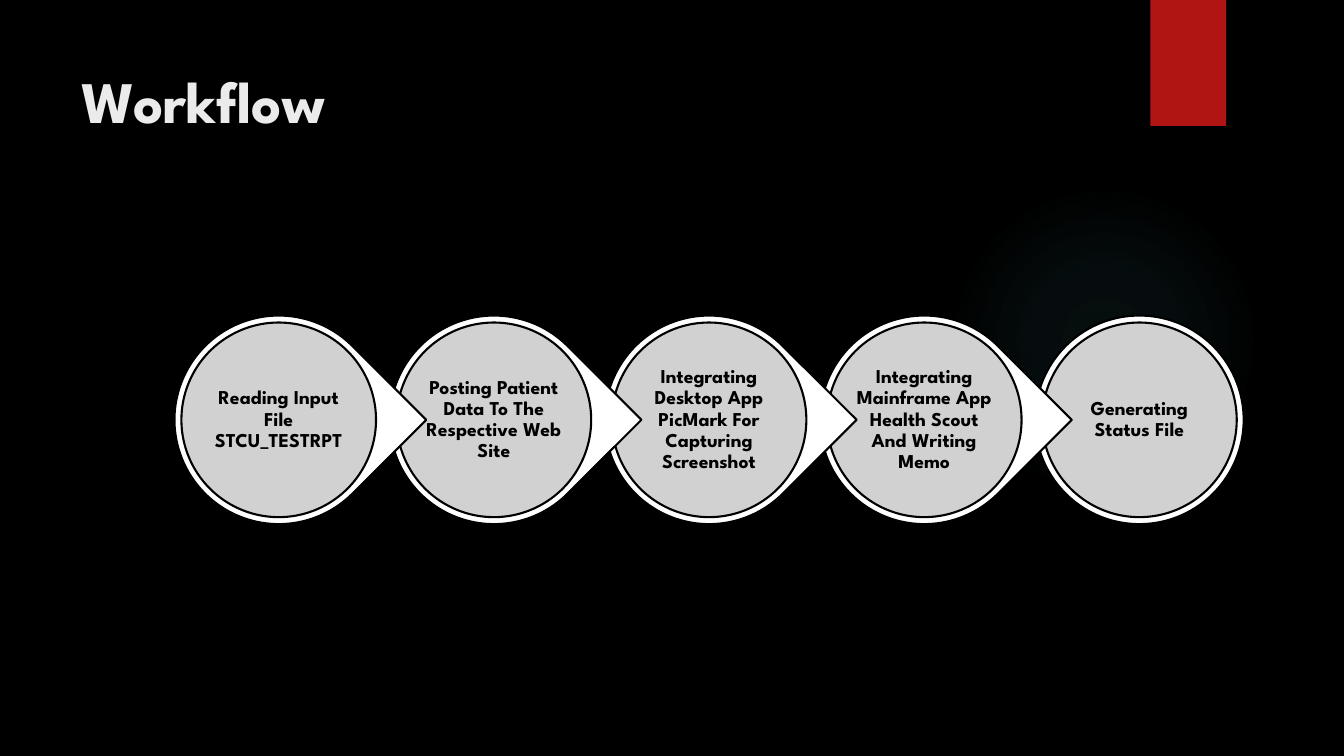
from lxml.etree import SubElement
from pptx import Presentation
from pptx.dml.color import RGBColor
from pptx.enum.shapes import MSO_SHAPE
from pptx.enum.text import MSO_ANCHOR, PP_ALIGN
from pptx.oxml import parse_xml
from pptx.oxml.ns import nsdecls, qn
from pptx.util import Pt

TITLE = "Workflow"
STEPS = [
    "Reading Input File STCU_TESTRPT",
    "Posting Patient Data To The Respective Web Site",
    "Integrating Desktop App PicMark For Capturing Screenshot",
    "Integrating Mainframe App Health Scout And Writing Memo",
    "Generating Status File",
]
FONT = "League Spartan"
BLACK, WHITE, GREY = "000000", "FFFFFF", "CCCCCC"
RED, TITLE_COLOR, GLOW = "B01513", "EBEBEB", "50B9C1"
GLOW_STOPS = [(0, 7), (36, 6), (69, 0)]  # position and opacity, in percent

FIRST_CENTER, CENTER_Y, STEP_PITCH = 199.1, 299.9, 153.7
OUTER_SIZE, INNER_SIZE = 149, 139


def color(hex_value):
    return RGBColor.from_string(hex_value)


def add_filled_shape(slide, kind, left, top, width, height, fill, line=None, opacity=100):
    shape = slide.shapes.add_shape(kind, Pt(left), Pt(top), Pt(width), Pt(height))
    shape.shadow.inherit = False
    shape.fill.solid()
    shape.fill.fore_color.rgb = color(fill)
    if opacity < 100:
        fill_color = shape.fill._xPr.find(qn("a:solidFill"))[0]
        SubElement(fill_color, qn("a:alpha")).set("val", str(opacity * 1000))
    if line:
        shape.line.color.rgb = color(line)
        shape.line.width = Pt(1.5)
    else:
        shape.line.fill.background()
    return shape


def add_centered(slide, kind, center_x, center_y, size, fill, **options):
    return add_filled_shape(slide, kind, center_x - size / 2, center_y - size / 2,
                            size, size, fill, **options)


def write_text(shape, text, size, font_color, align=PP_ALIGN.LEFT, spacing=1.0, inset=None):
    frame = shape.text_frame
    frame.word_wrap = True
    frame.vertical_anchor = MSO_ANCHOR.MIDDLE
    if inset is not None:
        frame.margin_left = frame.margin_right = Pt(inset)
        frame.margin_top = frame.margin_bottom = Pt(inset)
    paragraph = frame.paragraphs[0]
    paragraph.alignment = align
    paragraph.line_spacing = spacing
    run = paragraph.add_run()
    run.text = text
    run.font.name = FONT
    run.font.size = Pt(size)
    run.font.bold = True
    run.font.color.rgb = color(font_color)


def apply_glow(shape):
    """Replace the solid fill by a radial gradient that fades out."""
    stops = "".join(
        f'<a:gs pos="{position * 1000}"><a:srgbClr val="{GLOW}">'
        f'<a:alpha val="{opacity * 1000}"/></a:srgbClr></a:gs>'
        for position, opacity in GLOW_STOPS)
    gradient = parse_xml(
        f'<a:gradFill {nsdecls("a")}><a:gsLst>{stops}</a:gsLst><a:path path="circle">'
        '<a:fillToRect l="50000" t="50000" r="50000" b="50000"/></a:path></a:gradFill>')
    properties = shape.fill._xPr
    properties.replace(properties.find(qn("a:solidFill")), gradient)


def add_step(slide, index, text):
    center_x = FIRST_CENTER + index * STEP_PITCH
    is_last = index == len(STEPS) - 1
    kind = MSO_SHAPE.OVAL if is_last else MSO_SHAPE.TEAR
    outer = add_centered(slide, kind, center_x, CENTER_Y, OUTER_SIZE, WHITE, line=BLACK)
    outer.rotation = 0 if is_last else 45
    circle = add_centered(slide, MSO_SHAPE.OVAL, center_x, CENTER_Y, INNER_SIZE, GREY,
                          line=BLACK, opacity=90)
    write_text(circle, text, 14, BLACK, align=PP_ALIGN.CENTER, spacing=0.9, inset=0.8)


def main():
    presentation = Presentation()
    presentation.slide_width, presentation.slide_height = Pt(960), Pt(540)
    slide = presentation.slides.add_slide(presentation.slide_layouts[6])
    slide.background.fill.solid()
    slide.background.fill.fore_color.rgb = color(BLACK)

    apply_glow(add_centered(slide, MSO_SHAPE.OVAL, 788.4, 242.6, 221.8, GLOW))
    add_filled_shape(slide, MSO_SHAPE.RECTANGLE, 821.8, 0, 54, 90, RED)
    title = slide.shapes.add_textbox(Pt(51), Pt(36), Pt(741), Pt(71.3))
    write_text(title, TITLE, 42, TITLE_COLOR)

    # Later steps lie behind, so each tip overlaps the next circle.
    for index, text in reversed(list(enumerate(STEPS))):
        add_step(slide, index, text)
    presentation.save("out.pptx")


if __name__ == "__main__":
    main()
